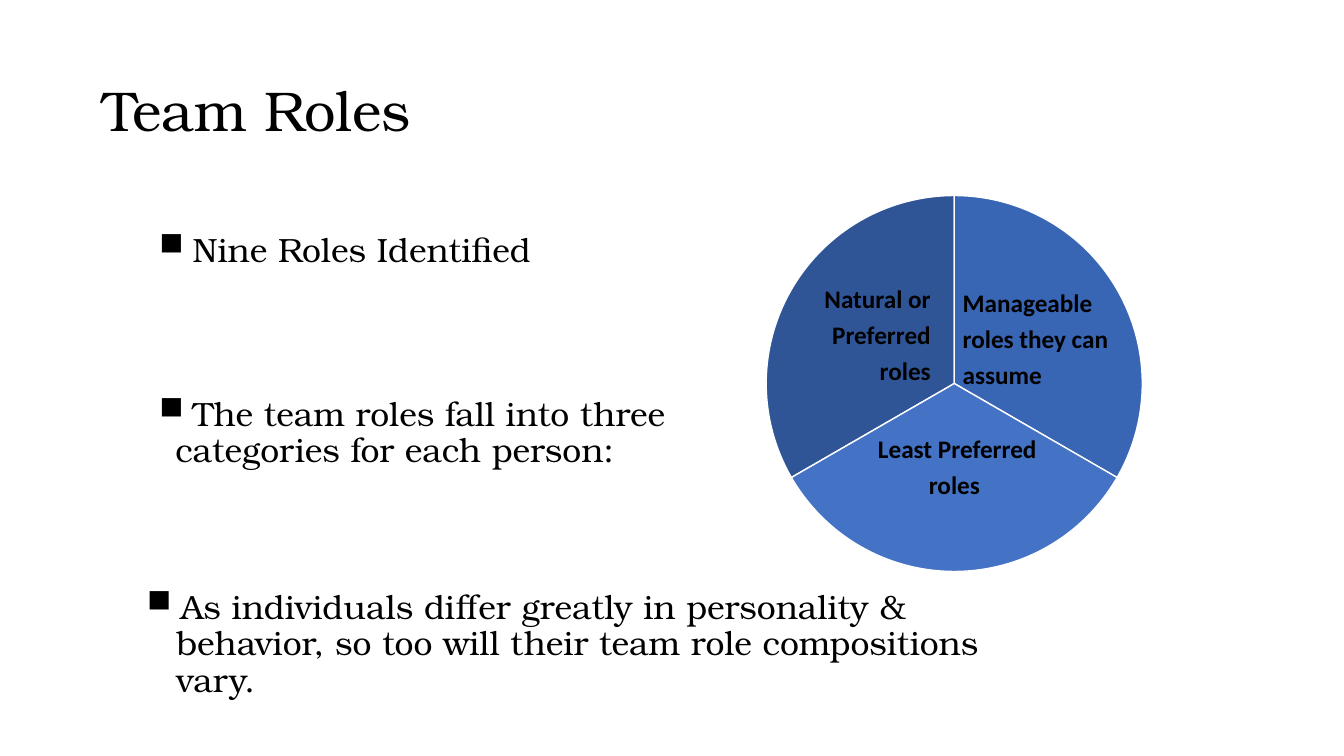
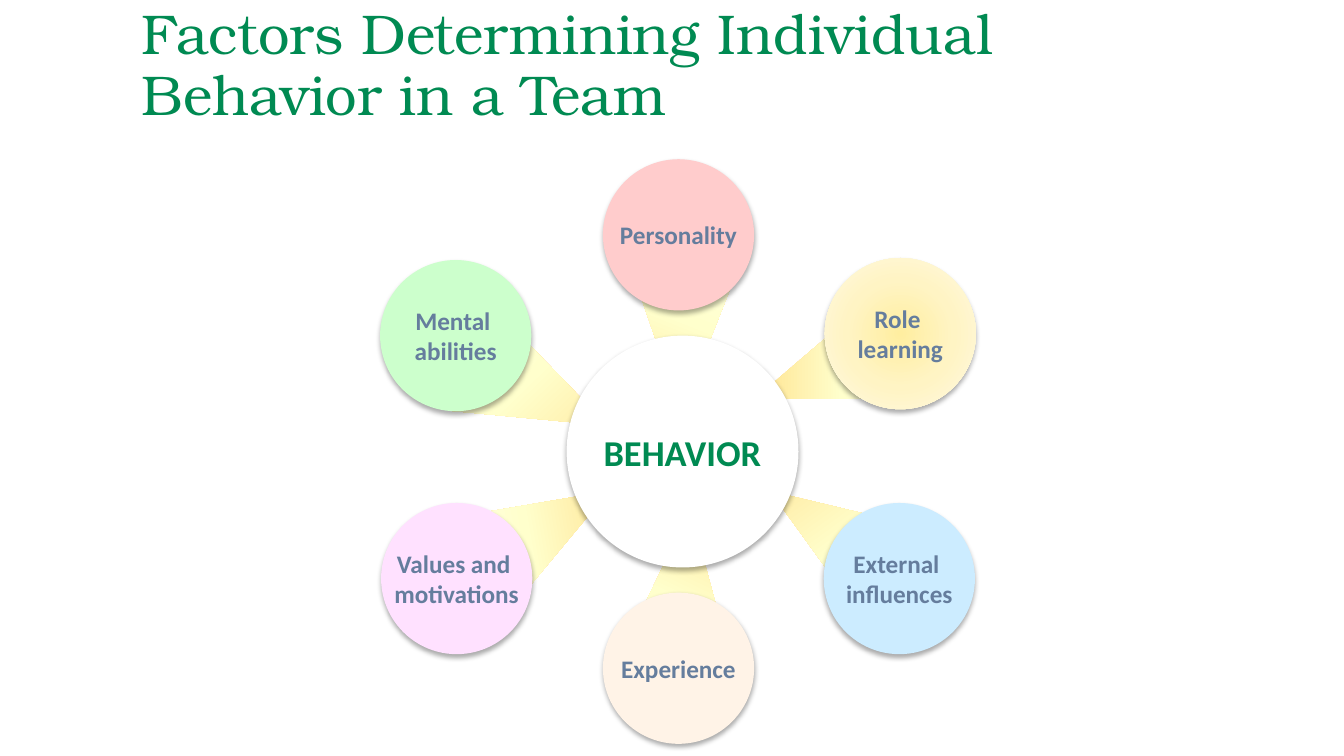
from dataclasses import dataclass
from typing import Any, Optional

import pptx
import pptx.dml.color
import pptx.enum.shapes
import pptx.enum.text
import pptx.oxml
import pptx.oxml.ns
import pptx.util

RGBColor = pptx.dml.color.RGBColor
Shapes = pptx.enum.shapes.MSO_SHAPE
Align = pptx.enum.text.PP_ALIGN
Anchor = pptx.enum.text.MSO_ANCHOR

PX = 9144  # one hundred px to the inch
Box = tuple[int, int, int, int]

BLACK = RGBColor(0x00, 0x00, 0x00)
WHITE = RGBColor(0xFF, 0xFF, 0xFF)
GREEN = RGBColor(0x00, 0x8A, 0x52)
SLATE = RGBColor(0x65, 0x7D, 0x9D)
NAVY = RGBColor(0x2F, 0x55, 0x97)
MID_BLUE = RGBColor(0x39, 0x65, 0xB5)
BLUE = RGBColor(0x44, 0x72, 0xC4)
SKY = RGBColor(0xCC, 0xEC, 0xFF)
CREAM = RGBColor(0xFF, 0xF3, 0xE7)
LILAC = RGBColor(0xFF, 0xE1, 0xFF)
PINK = RGBColor(0xFF, 0xCC, 0xCC)
MINT = RGBColor(0xCC, 0xFF, 0xCC)
SPOKE_STOPS = (RGBColor(0xFF, 0xE2, 0x8F), RGBColor(0xFF, 0xFF, 0xCC), RGBColor(0xFF, 0xFF, 0xEF))
GLOW_STOPS = (RGBColor(0xFF, 0xEE, 0xA0), RGBColor(0xFF, 0xF4, 0xC4), RGBColor(0xFF, 0xF9, 0xE2))

SERIF, SANS = "TeX Gyre Bonum", "Calibri"
LINEAR = '<a:lin ang="0" scaled="0"/>'
RADIAL = ('<a:path path="circle"><a:fillToRect l="50000" t="50000" r="50000" b="50000"/>'
          '</a:path>')


@dataclass(frozen=True)
class TextStyle:
    name: str
    size: int
    color: RGBColor
    bold: bool = False
    align: Any = Align.LEFT
    line_spacing: float = 1.0


@dataclass(frozen=True)
class Sector:
    start: int  # degrees clockwise from the right
    color: RGBColor
    label: str
    label_box: Box
    align: Any


@dataclass(frozen=True)
class Spoke:
    left: int
    top: int
    rotation: float


@dataclass(frozen=True)
class Factor:
    left: int
    top: int
    lines: tuple[str, ...]
    color: Optional[RGBColor] = None  # None gives the radial glow


BODY = TextStyle(SERIF, 24, BLACK, line_spacing=0.9)
HUB = TextStyle(SANS, 26, GREEN, True, Align.CENTER)
FACTOR = TextStyle(SANS, 18, SLATE, True, Align.CENTER)

PIE_BOX = (760, 194, 373, 373)
SECTORS = (
    Sector(150, NAVY, "Natural or Preferred roles", (783, 270, 150, 78), Align.RIGHT),
    Sector(270, MID_BLUE, "Manageable roles they can assume", (945, 274, 183, 156), Align.LEFT),
    Sector(30, BLUE, "Least Preferred roles ", (858, 419, 183, 156), Align.CENTER),
)
SPOKES = (
    Spoke(440, 501, 170.3),
    Spoke(770, 475, 54),
    Spoke(418, 344, 225.9),
    Spoke(572, 258, 291.5),
    Spoke(607, 554, 115.6),
    Spoke(748, 292, 0),
)
FACTORS = (
    Factor(818, 256, ("Role ", "learning")),
    Factor(817, 499, ("External ", "influences"), SKY),
    Factor(598, 588, ("Experience",), CREAM),
    Factor(378, 499, ("Values and ", "motivations"), LILAC),
    Factor(598, 158, ("Personality",), PINK),
    Factor(377, 258, ("Mental ", "abilities"), MINT),
)


def scaled(box: Box) -> list[int]:
    return [length * PX for length in box]


def drawing_xml(body: str) -> Any:
    """Turn '<a:name .../>' into an element, adding the namespace."""
    head, mark, rest = body.partition(">")
    closing = "/" if head.endswith("/") else ""
    head = head.removesuffix("/")
    return pptx.oxml.parse_xml(f"{head} {pptx.oxml.ns.nsdecls('a')}{closing}{mark}{rest}")


def write(shape: Any, lines: tuple[str, ...], style: TextStyle, anchor: Any = Anchor.TOP,
          wrap: bool = True, bullet_indent: int = 0, gap: int = 0) -> None:
    frame = shape.text_frame
    frame.word_wrap = wrap
    frame.vertical_anchor = anchor
    for index, line in enumerate(lines):
        paragraph = frame.add_paragraph() if index else frame.paragraphs[0]
        if bullet_indent:
            properties = paragraph._p.get_or_add_pPr()
            properties.set("marL", str(bullet_indent * PX))
            properties.set("indent", str(-bullet_indent * PX))
            properties.append(drawing_xml('<a:buSzPct val="170000"/>'))
            properties.append(drawing_xml('<a:buChar char="▪"/>'))
        paragraph.alignment = style.align
        paragraph.line_spacing = style.line_spacing
        paragraph.space_before = pptx.util.Pt(gap if index else 0)
        run = paragraph.add_run()
        run.text = line
        formats = {"name": style.name, "size": pptx.util.Pt(style.size), "bold": style.bold}
        for attribute, value in formats.items():
            setattr(run.font, attribute, value)
        run.font.color.rgb = style.color


def add_text(slide: Any, box: Box, lines: tuple[str, ...], style: TextStyle,
             **options: Any) -> Any:
    shape = slide.shapes.add_textbox(*scaled(box))
    write(shape, lines, style, **options)
    return shape


def add_title(slide: Any, box: Box, title: str, color: RGBColor) -> None:
    style = TextStyle(SERIF, 40, color, line_spacing=0.9)
    add_text(slide, box, (title,), style, anchor=Anchor.MIDDLE)


def add_plain(slide: Any, kind: Any, box: Box, color: Optional[RGBColor] = None) -> Any:
    shape = slide.shapes.add_shape(kind, *scaled(box))
    shape.shadow.inherit = False
    shape.line.fill.background()
    if color is None:
        shape.fill.background()
    else:
        shape.fill.solid()
        shape.fill.fore_color.rgb = color
    return shape


def set_gradient(shape: Any, colors: tuple[RGBColor, ...], direction: str) -> None:
    stops = "".join(
        f'<a:gs pos="{index * 50000}"><a:srgbClr val="{color}"/></a:gs>'
        for index, color in enumerate(colors))
    gradient = drawing_xml(
        f'<a:gradFill rotWithShape="1"><a:gsLst>{stops}</a:gsLst>{direction}</a:gradFill>')
    properties = shape._element.spPr
    properties.replace(properties.find(pptx.oxml.ns.qn("a:noFill")), gradient)


def add_disc(slide: Any, box: Box, lines: tuple[str, ...], style: TextStyle,
             color: Optional[RGBColor]) -> None:
    disc = add_plain(slide, Shapes.OVAL, box, color)
    if color is None:
        set_gradient(disc, GLOW_STOPS, RADIAL)
    effects = disc._element.spPr.find(pptx.oxml.ns.qn("a:effectLst"))
    effects.append(drawing_xml(
        '<a:outerShdw blurRad="44450" dist="27940" dir="5400000" algn="ctr" rotWithShape="0">'
        '<a:srgbClr val="000000"><a:alpha val="32000"/></a:srgbClr></a:outerShdw>'))
    write(disc, lines, style, anchor=Anchor.MIDDLE, wrap=False)


def add_sector(slide: Any, sector: Sector) -> None:
    shape = add_plain(slide, Shapes.PIE, PIE_BOX, sector.color)
    shape.adjustments[0] = sector.start * 0.6
    shape.adjustments[1] = (sector.start + 120) % 360 * 0.6
    shape.line.color.rgb = WHITE
    shape.line.width = pptx.util.Pt(1)
    style = TextStyle(SANS, 18, BLACK, True, sector.align, 1.2)
    add_text(slide, sector.label_box, (sector.label,), style)


def build_team_roles(slide: Any) -> None:
    add_title(slide, (92, 40, 1150, 145), "Team Roles", BLACK)
    points = ("Nine Roles Identified", "The team roles fall into three categories for each person:")
    body = add_text(slide, (139, 174, 533, 300), points, BODY, bullet_indent=25, gap=91)
    body.text_frame.margin_top = 58 * PX
    closing = ("As individuals differ greatly in personality & behavior, "
               "so too will their team role compositions vary.")
    add_text(slide, (127, 581, 865, 149), (closing,), BODY, bullet_indent=38)
    for sector in SECTORS:
        add_sector(slide, sector)


def build_behavior_factors(slide: Any) -> None:
    # Spokes lie behind the hub and the factors
    for spoke in SPOKES:
        triangle = add_plain(slide, Shapes.ISOSCELES_TRIANGLE, (spoke.left, spoke.top, 174, 104))
        triangle.adjustments[0] = 0.7
        triangle.rotation = spoke.rotation
        set_gradient(triangle, SPOKE_STOPS, LINEAR)
    add_title(slide, (131, 0, 1059, 133),
              "Factors Determining Individual Behavior in a Team", GREEN)
    add_disc(slide, (562, 333, 230, 230), ("BEHAVIOR",), HUB, WHITE)
    for factor in FACTORS:
        add_disc(slide, (factor.left, factor.top, 150, 150), factor.lines, FACTOR, factor.color)


def main() -> None:
    presentation = pptx.Presentation()
    presentation.slide_width = 1333 * PX
    presentation.slide_height = 750 * PX
    blank = presentation.slide_layouts[6]
    for build in (build_team_roles, build_behavior_factors):
        build(presentation.slides.add_slide(blank))
    presentation.save("out.pptx")


if __name__ == "__main__":
    main()
